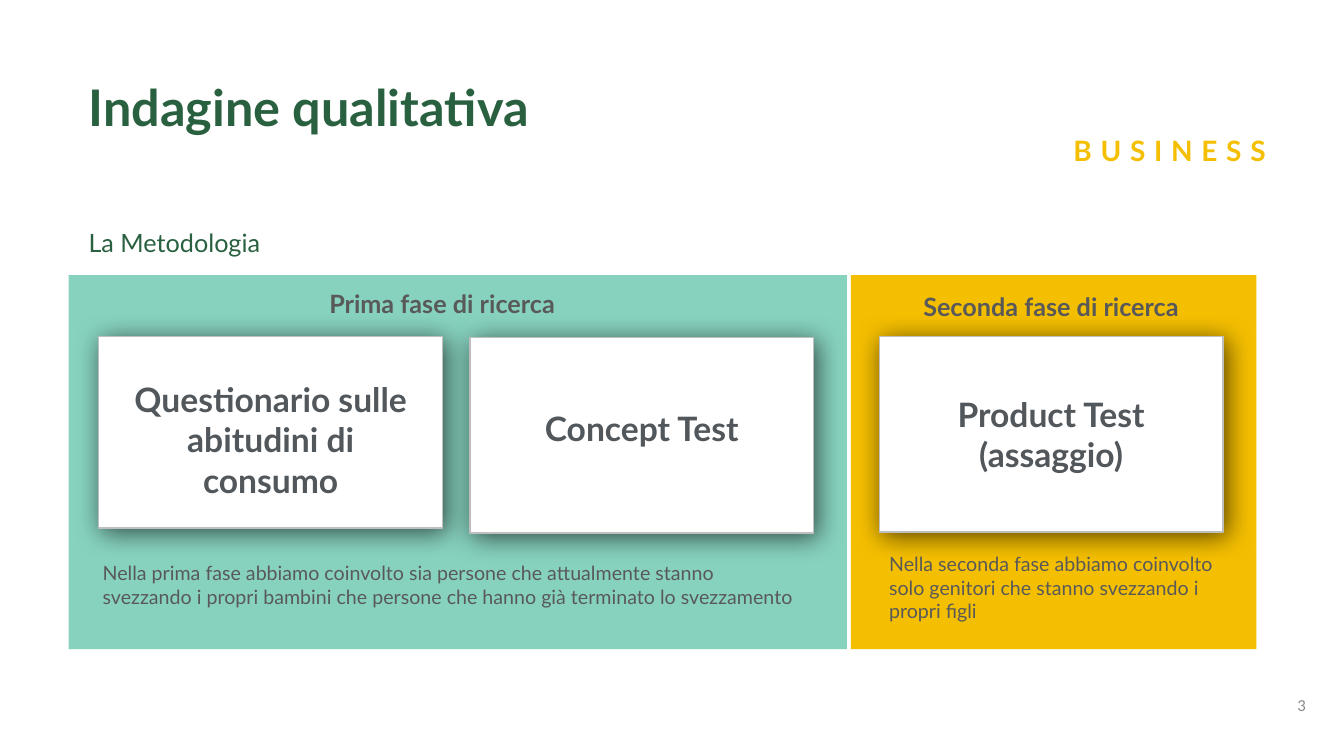
import pptx
import pptx.util
import pptx.dml.color
import pptx.enum.shapes
import pptx.enum.text
import pptx.oxml
import pptx.oxml.ns

Inches = pptx.util.Inches
Pt = pptx.util.Pt
RGBColor = pptx.dml.color.RGBColor
ALIGN = pptx.enum.text.PP_ALIGN
ANCHOR = pptx.enum.text.MSO_ANCHOR

GREEN = RGBColor(0x29, 0x61, 0x40)
TEAL = RGBColor(0x87, 0xD2, 0xBF)
GOLD = RGBColor(0xF5, 0xBF, 0x01)
WHITE = RGBColor(0xFF, 0xFF, 0xFF)
SLATE = RGBColor(0x52, 0x57, 0x5C)
GRAY = RGBColor(0x59, 0x59, 0x59)
PALE = RGBColor(0x8C, 0x8C, 0x8C)
EDGE = RGBColor(0xBF, 0xBF, 0xBF)

SHADOW = (
    f'<a:outerShdw {pptx.oxml.ns.nsdecls("a")} blurRad="{Pt(19)}" dist="{Pt(3)}" '
    'dir="2700000" algn="tl" rotWithShape="0">'
    '<a:srgbClr val="000000"><a:alpha val="63000"/></a:srgbClr></a:outerShdw>'
)


def style(par, size, color, bold=False, align=ALIGN.LEFT, face="Lato"):
    par.alignment = align
    par.font.name = face
    par.font.size = Pt(size)
    par.font.bold = bold
    par.font.color.rgb = color


def add_text(slide, box, text, size, color, **look):
    """Add a wrapped text box at box (left, top, width, height) and return its frame."""
    frame = slide.shapes.add_textbox(*map(Inches, box)).text_frame
    frame.word_wrap = True
    par = frame.paragraphs[0]
    par.text = text
    style(par, size, color, **look)
    return frame


def add_rect(slide, box, color):
    kind = pptx.enum.shapes.MSO_SHAPE.RECTANGLE
    rect = slide.shapes.add_shape(kind, *map(Inches, box))
    rect.shadow.inherit = False
    rect.fill.solid()
    rect.fill.fore_color.rgb = color
    rect.line.fill.background()
    return rect


def add_card(slide, box, text, drop, deep):
    """Add a shadowed white card; its label starts drop below the top and is deep high."""
    left, top, width, height = box
    card = add_rect(slide, box, WHITE)
    card.line.color.rgb = EDGE
    card.line.width = Pt(1)
    effects = card._element.spPr.find(pptx.oxml.ns.qn("a:effectLst"))
    effects.append(pptx.oxml.parse_xml(SHADOW))
    label = (left + 0.17, top + drop, width - 0.34, deep)
    add_text(slide, label, text, 24, SLATE, bold=True, align=ALIGN.CENTER)


def add_phase(slide, box, color, head, note, cards):
    """Add a phase panel; head and note are (text, box), with boxes and cards relative to it."""
    left, top = box[:2]

    def place(part):
        return (left + part[0], top + part[1], *part[2:])

    add_rect(slide, box, color)
    for part, text, drop, deep in cards:
        add_card(slide, place(part), text, drop, deep)
    add_text(slide, place(head[1]), head[0], 18, GRAY, bold=True, align=ALIGN.CENTER)
    add_text(slide, place(note[1]), note[0], 14, GRAY)


def add_header(slide, box):
    left, top, width, height = box
    title = slide.shapes.title
    title.left, title.top = Inches(left + 0.1), Inches(top)
    title.width, title.height = Inches(9.27), Inches(0.56)
    frame = title.text_frame
    frame.margin_left = frame.margin_right = frame.margin_bottom = 0
    frame.margin_top = Inches(0.01)
    frame.vertical_anchor = ANCHOR.TOP
    frame.auto_size = pptx.enum.text.MSO_AUTO_SIZE.NONE
    par = frame.paragraphs[0]
    par.text = "Indagine qualitativa"
    par.line_spacing = 0.9
    style(par, 36, GREEN, bold=True)

    tag_box = (left + width - 3.32, top + 0.47, 3.32, 0.44)
    tag = add_text(slide, tag_box, "BUSINESS", 20, GOLD, bold=True, align=ALIGN.CENTER)
    tag.paragraphs[0].runs[0].font._element.set("spc", "620")
    add_text(slide, (left, top + height - 0.4, 6.67, 0.4), "La Metodologia", 18, GREEN)


def add_footer(slide, box):
    frame = add_text(slide, box, "3", 12, PALE, align=ALIGN.RIGHT, face="Calibri")
    frame.vertical_anchor = ANCHOR.MIDDLE


def main():
    deck = pptx.Presentation()
    deck.slide_width, deck.slide_height = Inches(13.33), Inches(7.5)
    slide = deck.slides.add_slide(deck.slide_layouts[5])
    add_header(slide, (0.78, 0.81, 12.48, 1.8))
    add_phase(
        slide, (8.44, 2.73, 4.02, 3.71), GOLD,
        ("Seconda fase di ricerca", (-0.33, 0.11, 4.63, 0.4)),
        ("Nella seconda fase abbiamo coinvolto solo genitori che stanno "
         "svezzando i propri figli", (0.28, 2.7, 3.7, 0.81)),
        [((0.28, 0.61, 3.41, 1.94), "Product Test (assaggio)", 0.52, 0.91)],
    )
    add_phase(
        slide, (0.68, 2.73, 7.72, 3.71), TEAL,
        ("Prima fase di ricerca", (1.39, 0.08, 4.63, 0.4)),
        ("Nella prima fase abbiamo coinvolto sia persone che attualmente stanno "
         "svezzando i propri bambini che persone che hanno già terminato lo "
         "svezzamento", (0.24, 2.79, 7.17, 0.57)),
        [((3.98, 0.62, 3.41, 1.94), "Concept Test", 0.65, 0.5),
         ((0.3, 0.61, 3.41, 1.9), "Questionario sulle abitudini di consumo", 0.37, 1.45)],
    )
    add_footer(slide, (10.05, 6.79, 3, 0.4))
    deck.save("out.pptx")


if __name__ == "__main__":
    main()
